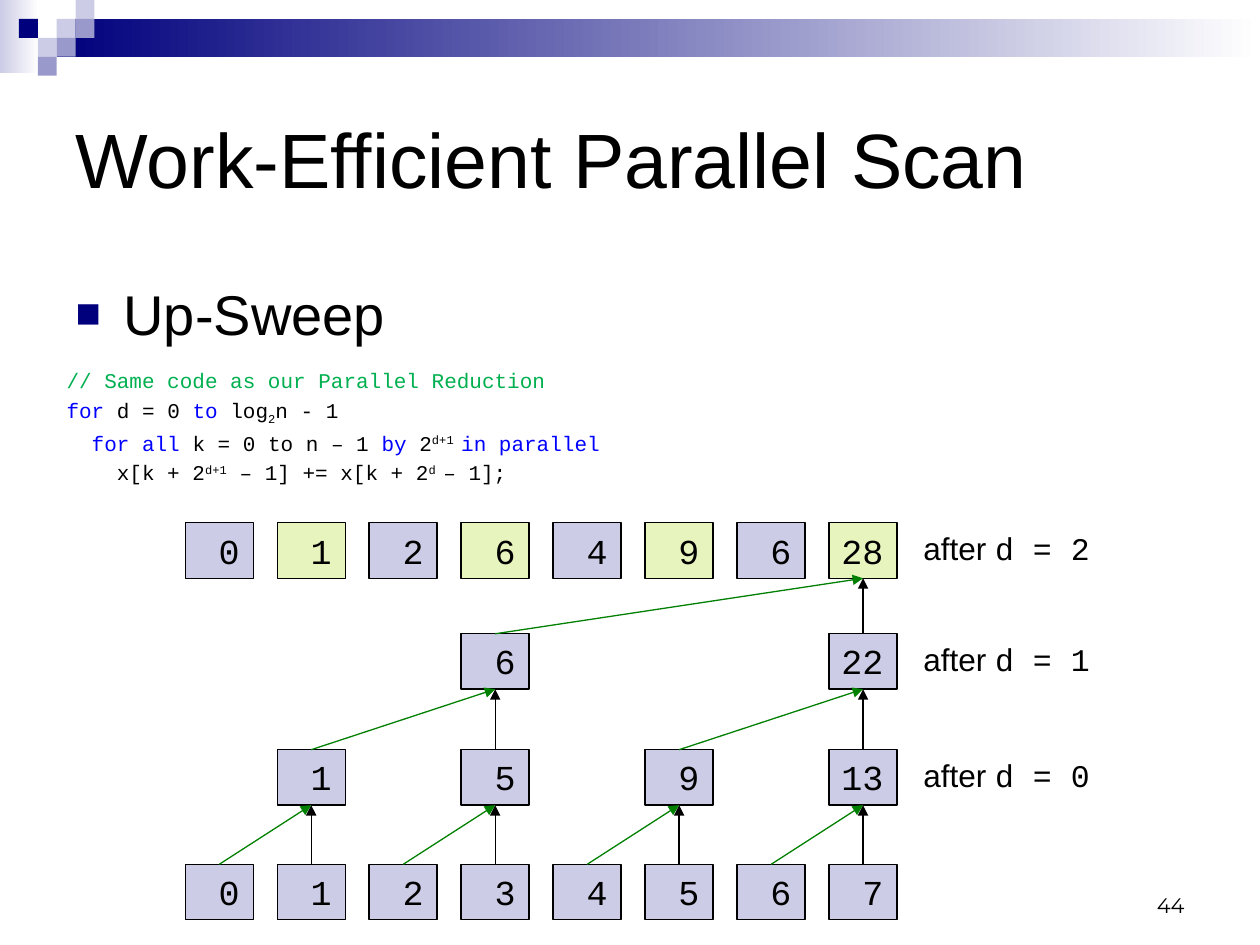
import pptx
import pptx.util
import pptx.dml.color
import pptx.enum.shapes
import pptx.enum.text
import pptx.oxml
from pptx.oxml.ns import qn

Inches = pptx.util.Inches
Pt = pptx.util.Pt
ANCHOR = pptx.enum.text.MSO_ANCHOR
ALIGN = pptx.enum.text.PP_ALIGN

COLORS = {
    "navy": "00007D", "periwinkle": "9999CC", "lavender": "CCCCE6",
    "lime": "E7F4BE", "white": "FFFFFF", "black": "000000",
    "arrow": "008000", "comment": "00B050", "keyword": "0000FF",
}
SUPER, SUB = "30000", "-25000"
CODE = [
    [("// Same code as our Parallel Reduction", "comment", None)],
    [("for ", "keyword", None), ("d = 0 ", "black", None),
     ("to ", "keyword", None), ("log", "black", None),
     ("2", "black", SUB), ("n - 1", "black", None)],
    [("  for all ", "keyword", None), ("k = 0 to n – 1 ", "black", None),
     ("by", "keyword", None), (" 2", "black", None),
     ("d+1 ", "black", SUPER), ("in parallel", "keyword", None)],
    [("    x[k + 2", "black", None), ("d+1", "black", SUPER),
     (" – 1] += x[k + 2", "black", None), ("d ", "black", SUPER),
     ("– 1];", "black", None)],
]
ROW_TOPS = [6.86, 5.95, 5.03, 4.15]
COLUMN_PITCH = 0.73
CELL_WIDTH, CELL_HEIGHT = 0.54, 0.44


def rgb(color):
    return pptx.dml.color.RGBColor.from_string(COLORS[color])


def apply_format(target, values):
    for name, value in values.items():
        setattr(target, name, value)


def place(shape, left, top, width, height):
    apply_format(shape, {"left": Inches(left), "top": Inches(top),
                         "width": Inches(width), "height": Inches(height)})


def add_words(paragraph, words, size, font="Arial", color="black"):
    run = paragraph.add_run()
    run.text = words
    apply_format(run.font, {"size": Pt(size), "name": font})
    run.font.color.rgb = rgb(color)
    return run


def add_block(slide, left, top, width, height, color, fade=False):
    block = slide.shapes.add_shape(
        pptx.enum.shapes.MSO_SHAPE.RECTANGLE,
        Inches(left), Inches(top), Inches(width), Inches(height))
    block.shadow.inherit = False
    block.line.fill.background()
    if fade:
        block.fill.gradient()
        block.fill.gradient_angle = 0
        for stop, shade in zip(block.fill.gradient_stops, (color, "white")):
            stop.color.rgb = rgb(shade)
    else:
        block.fill.solid()
        block.fill.fore_color.rgb = rgb(color)
    return block


def add_text(slide, left, top, width, height, wrap=True):
    box = slide.shapes.add_textbox(
        Inches(left), Inches(top), Inches(width), Inches(height))
    box.text_frame.word_wrap = wrap
    return box.text_frame


def draw_banner(slide, left, top, width):
    add_block(slide, left, top, 0.31, 0.58, "lavender", fade=True)
    add_block(slide, left + 0.45, top + 0.15, width - 0.45, 0.3, "navy", fade=True)
    side = 0.15
    for column, row, color in [
            (3, 1, "lavender"), (4, 0, "lavender"), (4, 1, "periwinkle"),
            (2, 2, "lavender"), (1, 1, "navy"), (3, 2, "periwinkle"),
            (2, 3, "periwinkle")]:
        add_block(slide, left + column * side, top + row * side, side, side, color)


def fill_title(title, left, top, width, height):
    place(title, left, top, width, height)
    apply_format(title.text_frame, {
        "vertical_anchor": ANCHOR.MIDDLE, "word_wrap": True,
        "auto_size": pptx.enum.text.MSO_AUTO_SIZE.NONE})
    heading = title.text_frame.paragraphs[0]
    heading.alignment = ALIGN.LEFT
    add_words(heading, "Work-Efficient Parallel Scan", 44)


def fill_body(body, left, top, width, height):
    place(body, left, top, width, height)
    body.text_frame.auto_size = pptx.enum.text.MSO_AUTO_SIZE.NONE
    item = body.text_frame.paragraphs[0]
    add_words(item, "Up-Sweep", 32)
    properties = item._p.get_or_add_pPr()
    properties.set("marL", str(Inches(0.38)))
    properties.set("indent", str(-Inches(0.38)))
    namespace = 'xmlns:a="http://schemas.openxmlformats.org/drawingml/2006/main"'
    for bullet in (
            f'<a:buClr {namespace}><a:srgbClr val="{COLORS["navy"]}"/></a:buClr>',
            f'<a:buSzPct {namespace} val="75000"/>',
            f'<a:buFont {namespace} typeface="Arial"/>',
            f'<a:buChar {namespace} char="■"/>'):
        properties.append(pptx.oxml.parse_xml(bullet))


def draw_code(slide, left, top, width, height):
    frame = add_text(slide, left, top, width, height)
    for number, line in enumerate(CODE):
        paragraph = frame.add_paragraph() if number else frame.paragraphs[0]
        paragraph.space_before = Pt(2.4)
        for words, color, baseline in line:
            run = add_words(paragraph, words, 12, "Courier New", color)
            if baseline:
                run.font._element.set("baseline", baseline)


def draw_cell(slide, left, top, value, color):
    cell = add_block(slide, left, top, CELL_WIDTH, CELL_HEIGHT, color)
    cell.line.color.rgb = rgb("black")
    cell.line.width = Pt(0.75)
    apply_format(cell.text_frame, {"word_wrap": False, "vertical_anchor": ANCHOR.TOP})
    number = cell.text_frame.paragraphs[0]
    number.alignment = ALIGN.LEFT
    add_words(number, f"{value:>2}", 20, "Courier New")
    return cell


def draw_arrow(slide, source, target, color):
    arrow = slide.shapes.add_connector(
        pptx.enum.shapes.MSO_CONNECTOR.STRAIGHT, 0, 0, 0, 0)
    arrow.begin_connect(source, 0)
    arrow.end_connect(target, 2)
    arrow.line.color.rgb = rgb(color)
    arrow.line.width = Pt(0.75)
    head = arrow.line._get_or_add_ln().makeelement(qn("a:tailEnd"), {"type": "triangle"})
    arrow.line._get_or_add_ln().append(head)
    effects = arrow._element.spPr.makeelement(qn("a:effectLst"), {})
    arrow._element.spPr.append(effects)


def draw_sweep(slide, left, label_left):
    def draw_row(top, columns, highlight=False):
        return {
            column: draw_cell(slide, left + column * COLUMN_PITCH, top, sums[column],
                              "lime" if highlight and column % 2 else "lavender")
            for column in columns}

    sums = list(range(8))
    lower = draw_row(ROW_TOPS[0], range(8))
    for depth, top in enumerate(ROW_TOPS[1:]):
        reach = 2 ** depth
        merged = range(2 * reach - 1, 8, 2 * reach)
        for column in merged:
            sums[column] += sums[column - reach]
        last = len(merged) == 1
        upper = draw_row(top, range(8) if last else merged, last)
        for column in merged:
            draw_arrow(slide, lower[column], upper[column], "black")
            draw_arrow(slide, lower[column - reach], upper[column], "arrow")
        label = add_text(slide, label_left, top, 1.52, 0.4, wrap=False).paragraphs[0]
        add_words(label, "after ", 18)
        add_words(label, f"d = {depth}", 18, "Courier New")
        lower = upper


def draw_page_number(slide, left, top, width, height):
    frame = add_text(slide, left, top, width, height)
    frame.vertical_anchor = ANCHOR.BOTTOM
    frame.paragraphs[0].alignment = ALIGN.RIGHT
    add_words(frame.paragraphs[0], "44", 12, "Montserrat")


def main():
    deck = pptx.Presentation()
    apply_format(deck, {"slide_width": Inches(10), "slide_height": Inches(7.5)})
    slide = deck.slides.add_slide(deck.slide_layouts[1])
    draw_banner(slide, 0, 0, 10)
    fill_title(slide.shapes.title, 0.5, 0.5, 9, 1.5)
    fill_body(slide.placeholders[1], 0.5, 2.17, 9, 4.25)
    draw_code(slide, 0.43, 2.87, 8.66, 1.08)
    draw_sweep(slide, 1.47, 7.23)
    draw_page_number(slide, 7.17, 6.83, 2.33, 0.5)
    deck.save("out.pptx")


if __name__ == "__main__":
    main()
